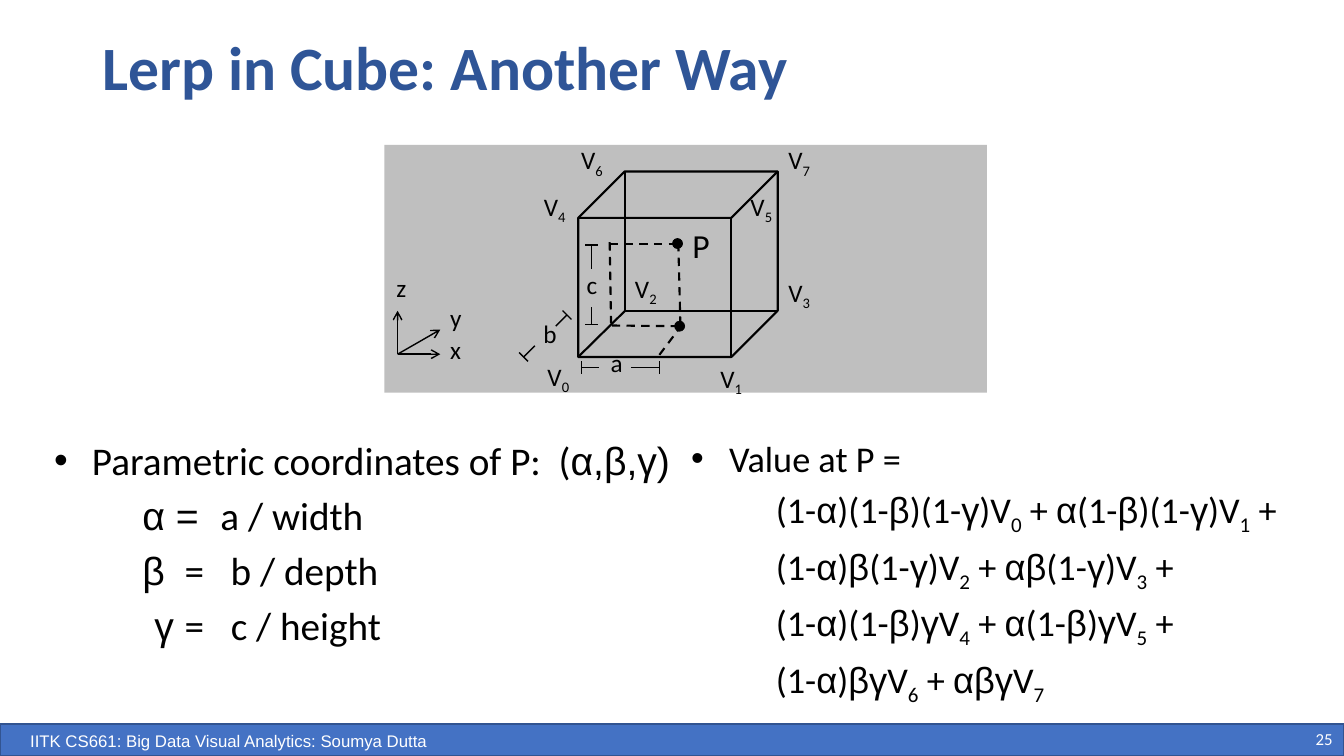
from dataclasses import dataclass
from math import hypot

from lxml import etree
from pptx import Presentation
from pptx.dml.color import RGBColor
from pptx.enum.dml import MSO_LINE
from pptx.enum.shapes import MSO_CONNECTOR, MSO_SHAPE
from pptx.enum.text import MSO_ANCHOR, MSO_AUTO_SIZE, PP_ALIGN
from pptx.oxml.ns import qn
from pptx.util import Pt

RECT, CUBE, OVAL = MSO_SHAPE.RECTANGLE, MSO_SHAPE.CUBE, MSO_SHAPE.OVAL
STRAIGHT, DASH = MSO_CONNECTOR.STRAIGHT, MSO_LINE.DASH
LEFT, CENTER, RIGHT = PP_ALIGN.LEFT, PP_ALIGN.CENTER, PP_ALIGN.RIGHT
TOP, MIDDLE = MSO_ANCHOR.TOP, MSO_ANCHOR.MIDDLE
FIXED = MSO_AUTO_SIZE.NONE


@dataclass(frozen=True)
class Theme:
    ink: str = "000000"
    blue: str = "2F5597"
    bar: str = "4472C4"
    edge: str = "325491"
    gray: str = "BFBFBF"
    white: str = "FFFFFF"
    main: str = "Calibri"
    greek: str = "Arial"
    title: float = 44
    list: float = 28
    sums: float = 25.9
    point: float = 24
    label: float = 18
    foot: float = 12


class Page:
    def __init__(self, slide, theme):
        self.slide, self.theme = slide, theme

    def fill(self, para, text, size, color, font=None, bold=None):
        """Bars switch to the Greek font and back; an underscore lowers one character."""
        for n, part in enumerate(text.split("|")):
            for m, bit in enumerate(part.split("_")):
                pieces = [(bit[:1], True), (bit[1:], False)] if m else [(bit, False)]
                for piece, low in pieces:
                    if not piece:
                        continue
                    run = para.add_run()
                    run.text = piece
                    if n % 2:
                        run.font.name = self.theme.greek
                    if low:
                        run.font._element.set("baseline", "-25000")
        para.font.name = font or self.theme.main
        para.font.size = Pt(size)
        para.font.color.rgb = RGBColor.from_string(color)
        para.font.bold = bold

    def place(self, shape, box):
        shape.left, shape.top, shape.width, shape.height = map(Pt, box)

    def title(self, text, box):
        shape = self.slide.shapes.title
        self.place(shape, box)
        frame = shape.text_frame
        frame.auto_size, frame.vertical_anchor = FIXED, MIDDLE
        para = frame.paragraphs[0]
        para.alignment, para.line_spacing = LEFT, 0.9
        self.fill(para, text, self.theme.title, self.theme.blue, bold=True)

    def list(self, index, box, size, head, rows):
        shape = self.slide.placeholders[index]
        self.place(shape, box)
        frame = shape.text_frame
        frame.auto_size, frame.vertical_anchor = FIXED, TOP
        para = frame.paragraphs[0]
        para.space_before = Pt(0)
        self.fill(para, head, size, self.theme.ink)
        for inset, text in rows:
            para = frame.add_paragraph()
            para.level = 1
            para.space_before = Pt(size / 5)
            props = para._p.get_or_add_pPr()
            props.set("marL", str(Pt(inset)))
            props.set("indent", "0")
            etree.SubElement(props, qn("a:buNone"))
            self.fill(para, text, size, self.theme.ink)

    def text(self, text, box, size, color, align=LEFT, font=None, wrap=False):
        frame = self.slide.shapes.add_textbox(*map(Pt, box)).text_frame
        frame.word_wrap, frame.vertical_anchor = wrap, MIDDLE
        para = frame.paragraphs[0]
        para.alignment = align
        self.fill(para, text, size, color, font)

    def label(self, text, x, y, width=31):
        self.text(text, (x, y, width, 29), self.theme.label, self.theme.ink)

    def shape(self, kind, box, fill=None, line=None, width=1):
        shape = self.slide.shapes.add_shape(kind, *map(Pt, box))
        shape.shadow.inherit = False
        if fill:
            shape.fill.solid()
            shape.fill.fore_color.rgb = RGBColor.from_string(fill)
        else:
            shape.fill.background()
        if line:
            shape.line.color.rgb = RGBColor.from_string(line)
            shape.line.width = Pt(width)
        else:
            shape.line.fill.background()

    def dot(self, x, y):
        self.shape(OVAL, (x - 3.6, y - 3.6, 7.2, 7.2), self.theme.ink, self.theme.ink, 0.5)

    def line(self, start, end, width=1, dash=False, arrow=False):
        link = self.slide.shapes.add_connector(STRAIGHT, *map(Pt, start + end))
        link.line.color.rgb = RGBColor.from_string(self.theme.ink)
        link.line.width = Pt(width)
        if dash:
            link.line.dash_style = DASH
        if arrow:
            etree.SubElement(link.line._get_or_add_ln(), qn("a:tailEnd"), type="arrow")
        etree.SubElement(link._element.spPr, qn("a:effectLst"))

    def stub(self, x, y, dx, dy):
        self.line((x, y), (x + dx, y + dy))
        scale = 4.5 / hypot(dx, dy)
        across, down = -dy * scale, dx * scale
        self.line((x - across, y - down), (x + across, y + down))


def term(corner):
    parts = [f"|{sign}|" if corner >> bit & 1 else f"(1-|{sign}|)"
             for bit, sign in enumerate("αβγ")]
    return "".join(parts) + f"V_{corner}"


def main():
    deck = Presentation()
    deck.slide_width, deck.slide_height = Pt(960), Pt(540)
    theme = Theme()
    page = Page(deck.slides.add_slide(deck.slide_layouts[3]), theme)

    page.shape(RECT, (0, 517, 960, 23), theme.bar, theme.edge)
    page.text("25", (894, 516.5, 65, 23), theme.foot, theme.white, RIGHT, wrap=True)
    page.text("IITK CS661: Big Data Visual Analytics: Soumya Dutta", (0, 518.5, 327, 21.5),
              theme.foot, theme.white, CENTER, theme.greek, True)
    page.title("Lerp in Cube: Another Way", (66, 17.5, 828, 65.5))

    page.shape(RECT, (274.5, 103.5, 430.5, 177), theme.gray)
    page.shape(CUBE, (413, 122.5, 142.5, 132.5), None, theme.ink, 1.5)
    for end in [(446.5, 122.5), (413, 255), (555.5, 222)]:
        page.line((446.5, 222), end, 1.5)

    for end in [(314.5, 253), (314.5, 235.5), (284, 222)]:
        page.line((284, 253), end, arrow=True)
    for name, x, y in [("x", 314.5, 235), ("y", 314.5, 212.5), ("z", 276, 191),
                       ("a", 429, 244), ("b", 381, 224), ("c", 412, 188.5)]:
        page.label(name, x, y, 23)

    for start, end in [((437, 232.5), (483, 233)), ((484.5, 173.5), (486, 232)),
                       ((471, 253.5), (489.5, 229)), ((435.5, 174), (486.5, 174)),
                       ((435.5, 173), (436.5, 231))]:
        page.line(start, end, 1.5, dash=True)
    for stub in [(415.5, 262.5, 12.5, 0), (471, 262.5, -20, 0),
                 (374, 255, 8, -8), (405, 225, -8, 8),
                 (422.5, 175, 0, 17), (422.5, 232, 0, -13)]:
        page.stub(*stub)
    page.dot(484, 174)
    page.dot(485.5, 233)

    spots = [(384, 255.5), (507.5, 257), (446.5, 193), (556, 196),
             (381.5, 134.5), (529, 134.5), (408, 101), (556, 101)]
    for corner, spot in enumerate(spots):
        page.label(f"V_{corner}", *spot)
    page.text("P", (487.5, 157, 27, 36), theme.point, theme.ink)

    sums = [" + ".join(map(term, (low, low + 1))) for low in range(0, 8, 2)]
    rows = [(60.5, row + " +") for row in sums[:-1]] + [(60.5, sums[-1])]
    page.list(2, (486.5, 308, 443, 195), theme.sums, "Value at P =", rows)
    page.list(1, (31.5, 308, 467.5, 195), theme.list,
              "Parametric coordinates of P:  (|α,β,γ)",
              [(63, "|α =  |a / width"), (63, "|β | =   b / depth"),
               (71.5, "|γ |=   c / height")])

    deck.save("out.pptx")


if __name__ == "__main__":
    main()
